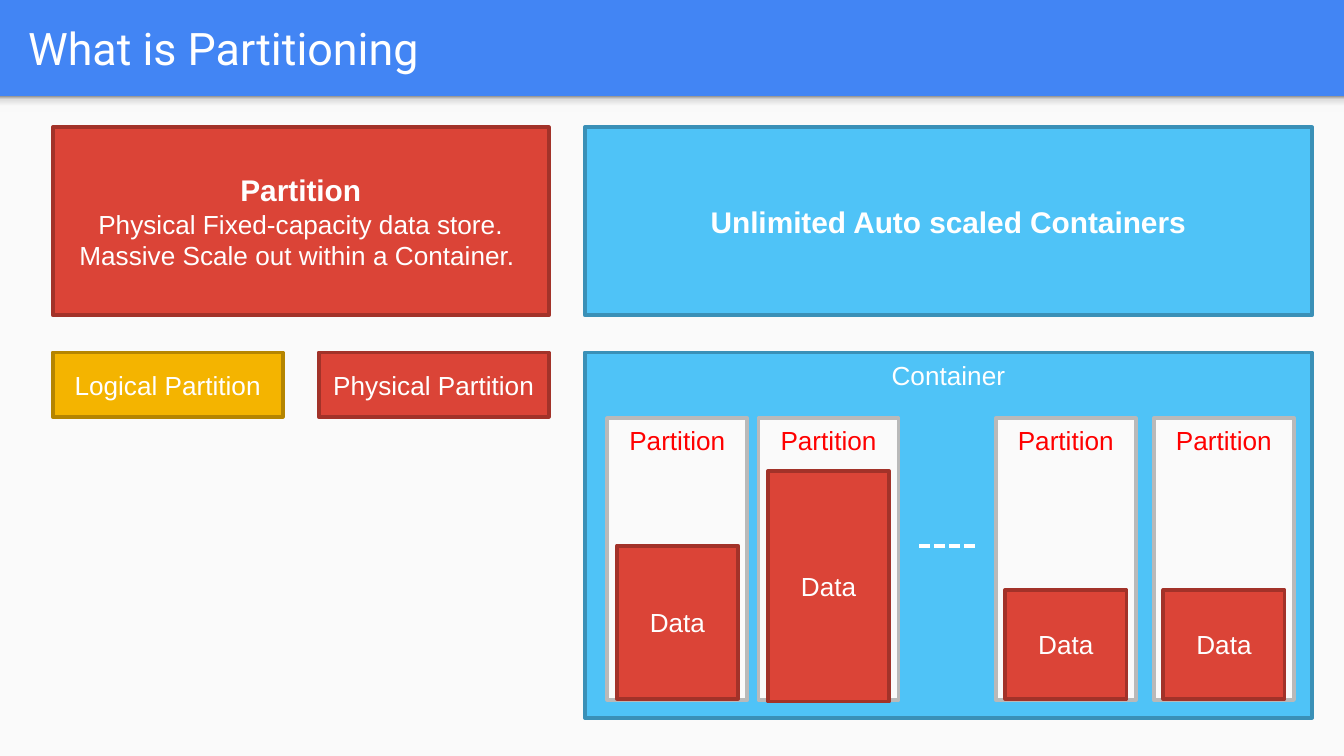
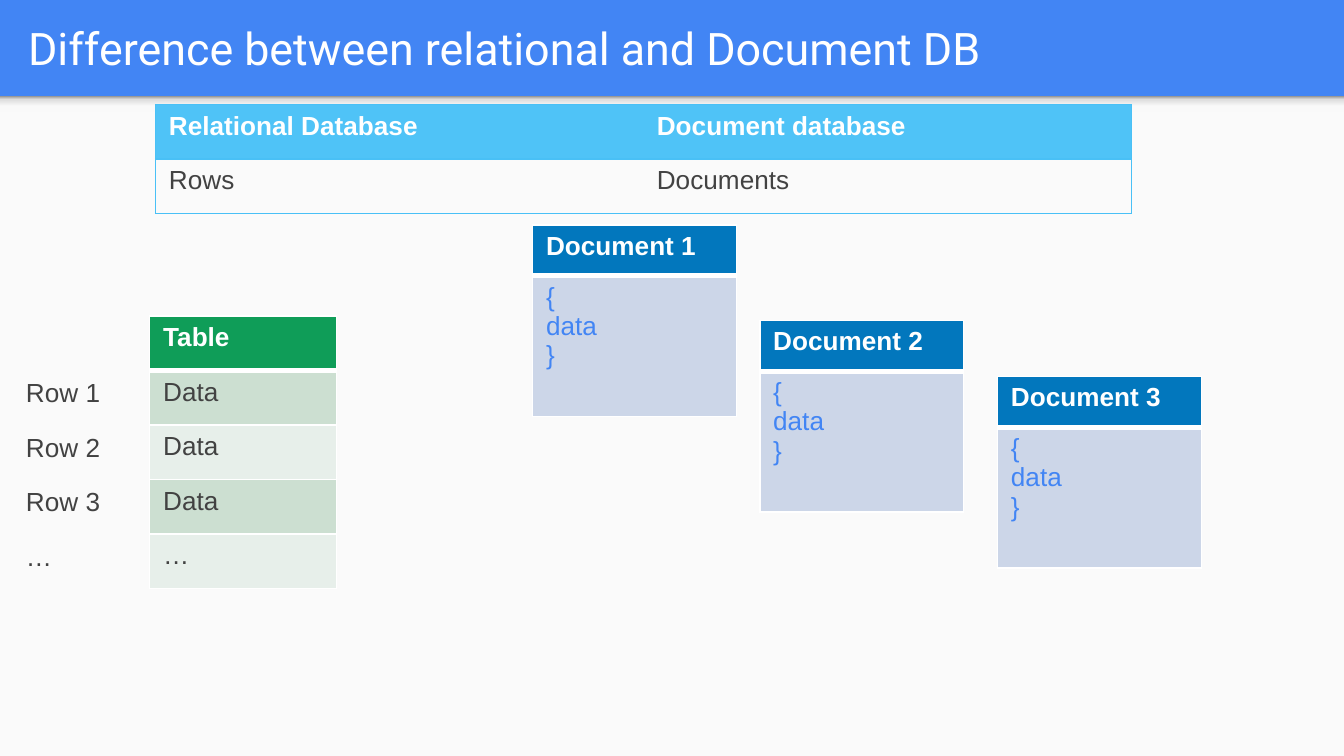
from dataclasses import dataclass

from lxml import etree
from pptx import Presentation
from pptx.dml.color import RGBColor
from pptx.enum.dml import MSO_LINE
from pptx.enum.shapes import MSO_CONNECTOR, MSO_SHAPE
from pptx.enum.text import MSO_ANCHOR, PP_ALIGN
from pptx.oxml.ns import qn
from pptx.presentation import Presentation as Deck
from pptx.shapes.autoshape import Shape
from pptx.slide import Slide
from pptx.table import _Cell
from pptx.text.text import TextFrame
from pptx.util import Pt

RECTANGLE = MSO_SHAPE.RECTANGLE
STRAIGHT = MSO_CONNECTOR.STRAIGHT
SQUARE_DASH = MSO_LINE.SQUARE_DOT
TOP = MSO_ANCHOR.TOP
MIDDLE = MSO_ANCHOR.MIDDLE
LEFT = PP_ALIGN.LEFT
CENTER = PP_ALIGN.CENTER

BLUE = "4285F4"
PAPER = "FAFAFA"
WHITE = "FFFFFF"
GREY_TEXT = "424242"
LABEL_RED = "FF0000"
SKY_FILL = "4FC3F7"
RED = ("DB4437", "A23229")
SKY = (SKY_FILL, "3A90B7")
AMBER = ("F4B400", "B58500")
PLAIN = (PAPER, "B9B9B9")

SLIDE_WIDTH = 720
SLIDE_HEIGHT = 405
BAND_HEIGHT = 51.6
BAND_SHADOW_HEIGHT = 8.6
SHADOW_STOPS = ((0, "F9F9F9"), (36, "F9F9F9"), (80, "DEDEDE"), (100, "999999"))
NO_TABLE_STYLE = "{2D5ABB26-0587-4C30-8999-92F81FD0307C}"


@dataclass(frozen=True)
class Box:
    left: float
    top: float
    width: float
    height: float
    palette: tuple[str, str]
    text: str = ""
    heading: str = ""
    color: str = WHITE
    anchor: MSO_ANCHOR = MIDDLE


@dataclass(frozen=True)
class Grid:
    left: float
    top: float
    column_width: float
    row_heights: tuple[float, ...]
    rows: tuple[tuple[str, ...], ...]
    header_fill: str | None = None
    body_fills: tuple[str | None, ...] = (None,)
    body_color: str = GREY_TEXT
    border_color: str | None = None
    border_width: float = 1
    header_border_width: float = 3


def rgb(color: str) -> RGBColor:
    return RGBColor.from_string(color)


def add_text(frame: TextFrame, text: str, *, size: float = 14, font: str = "Arial",
             color: str = WHITE, bold: bool = False, align: PP_ALIGN = LEFT) -> None:
    for line in text.split("\n"):
        paragraph = frame.paragraphs[0]
        if paragraph.runs:
            paragraph = frame.add_paragraph()
        paragraph.alignment = align
        run = paragraph.add_run()
        run.text = line
        run.font.size = Pt(size)
        run.font.name = font
        run.font.bold = bold
        run.font.color.rgb = rgb(color)


def add_rectangle(slide: Slide, left: float, top: float, width: float, height: float,
                  fill: str, line: str | None = None) -> Shape:
    shape = slide.shapes.add_shape(RECTANGLE, Pt(left), Pt(top), Pt(width), Pt(height))
    shape.shadow.inherit = False
    shape.fill.solid()
    shape.fill.fore_color.rgb = rgb(fill)
    if line:
        shape.line.color.rgb = rgb(line)
        shape.line.width = Pt(2)
    else:
        shape.line.fill.background()
    return shape


def add_box(slide: Slide, box: Box) -> None:
    fill, line = box.palette
    shape = add_rectangle(slide, box.left, box.top, box.width, box.height, fill, line)
    frame = shape.text_frame
    frame.word_wrap = True
    frame.vertical_anchor = box.anchor
    if box.heading:
        add_text(frame, box.heading, size=16, color=box.color, bold=True, align=CENTER)
    if box.text:
        add_text(frame, box.text, color=box.color, align=CENTER)


def add_dashes(slide: Slide, left: float, right: float, height: float) -> None:
    connector = slide.shapes.add_connector(
        STRAIGHT, Pt(left), Pt(height), Pt(right), Pt(height))
    connector.line.color.rgb = rgb(WHITE)
    connector.line.width = Pt(2)
    connector.line.dash_style = SQUARE_DASH
    etree.SubElement(connector._element.spPr, qn("a:effectLst"))


def add_border(cell: _Cell, edge: str, color: str, width: float) -> None:
    properties = cell._tc.get_or_add_tcPr()
    line = etree.SubElement(properties, qn(f"a:ln{edge}"), w=str(Pt(width)))
    fill = etree.SubElement(line, qn("a:solidFill"))
    etree.SubElement(fill, qn("a:srgbClr"), val=color)


def add_grid(slide: Slide, grid: Grid) -> None:
    column_count = len(grid.rows[0])
    table = slide.shapes.add_table(
        len(grid.rows), column_count, Pt(grid.left), Pt(grid.top),
        Pt(grid.column_width * column_count), Pt(sum(grid.row_heights))).table
    table._tbl.tblPr.find(qn("a:tableStyleId")).text = NO_TABLE_STYLE
    table.horz_banding = False
    table.first_row = grid.header_fill is not None
    for column in table.columns:
        column.width = Pt(grid.column_width)
    for row_index, (height, texts) in enumerate(zip(grid.row_heights, grid.rows)):
        table.rows[row_index].height = Pt(height)
        is_header = table.first_row and row_index == 0
        body_index = row_index - int(table.first_row)
        fill = grid.header_fill if is_header else grid.body_fills[body_index % len(grid.body_fills)]
        for column_index, text in enumerate(texts):
            cell = table.cell(row_index, column_index)
            if grid.border_color:
                widths = {
                    "L": grid.border_width if column_index == 0 else 0,
                    "R": grid.border_width if column_index == column_count - 1 else 0,
                    "T": grid.header_border_width if row_index == 1 else grid.border_width,
                    "B": grid.header_border_width if is_header else grid.border_width,
                }
                for edge, width in widths.items():
                    if width:
                        add_border(cell, edge, grid.border_color, width)
            if fill:
                cell.fill.solid()
                cell.fill.fore_color.rgb = rgb(fill)
            else:
                cell.fill.background()
            add_text(cell.text_frame, text, bold=is_header,
                     color=WHITE if is_header else grid.body_color)


def add_band_shadow(slide: Slide) -> None:
    shape = add_rectangle(slide, 0, BAND_HEIGHT, SLIDE_WIDTH, BAND_SHADOW_HEIGHT, PAPER)
    shape.fill.gradient()
    shape.fill.gradient_angle = 90
    stops = shape._element.spPr.find(qn("a:gradFill")).find(qn("a:gsLst"))
    for stop in list(stops):
        stops.remove(stop)
    for position, color in SHADOW_STOPS:
        stop = etree.SubElement(stops, qn("a:gs"), pos=str(position * 1000))
        etree.SubElement(stop, qn("a:srgbClr"), val=color)


def add_titled_slide(presentation: Deck, title: str) -> Slide:
    slide = presentation.slides.add_slide(presentation.slide_layouts[6])
    add_rectangle(slide, 0, BAND_HEIGHT, SLIDE_WIDTH, SLIDE_HEIGHT - BAND_HEIGHT, PAPER)
    add_band_shadow(slide)
    frame = slide.shapes.add_textbox(Pt(8), Pt(1.5), Pt(695), Pt(47.5)).text_frame
    frame.word_wrap = True
    frame.vertical_anchor = MIDDLE
    add_text(frame, title, size=24, font="Roboto")
    return slide


def build_partitioning(presentation: Deck) -> None:
    slide = add_titled_slide(presentation, "What is Partitioning")
    left, right = 28.3, 313.3
    upper, lower = 68.2, 188.8
    wide, narrow, container_width = 265.7, 123.2, 389.6
    boxes = [
        Box(right, upper, container_width, 100.8, SKY,
            heading="Unlimited Auto scaled Containers"),
        Box(left, upper, wide, 100.8, RED, heading="Partition",
            text="Physical Fixed-capacity data store.\n"
                 "Massive Scale out within a Container. "),
        Box(left, lower, narrow, 34.6, AMBER, "Logical Partition"),
        Box(left + wide - narrow, lower, narrow, 34.6, RED, "Physical Partition"),
        Box(right, lower, container_width, 195.8, SKY, "Container", anchor=TOP),
    ]
    partition_top, partition_width, partition_height = 224, 75, 151
    data_width = 65
    data_inset = (partition_width - data_width) / 2
    partitions = ((325.4, 292.3, 82), (406.4, 252.4, 123.4),
                  (533.5, 316.1, 58.3), (618.2, 316.1, 58.3))
    boxes += [Box(partition_left, partition_top, partition_width, partition_height,
                  PLAIN, "Partition", color=LABEL_RED, anchor=TOP)
              for partition_left, _, _ in partitions]
    boxes += [Box(partition_left + data_inset, data_top, data_width, data_height, RED, "Data")
              for partition_left, data_top, data_height in partitions]
    for box in boxes:
        add_box(slide, box)
    add_dashes(slide, 492.4, 524.2, 292.4)


def build_difference(presentation: Deck) -> None:
    slide = add_titled_slide(presentation, "Difference between relational and Document DB")
    row_height = 29.2
    table_top = 169.3
    grids = [
        Grid(83.3, 56, 261.4, (row_height,) * 2,
             (("Relational Database", "Document database"), ("Rows", "Documents")),
             header_fill=SKY_FILL, border_color="49C0F6",
             border_width=0.75, header_border_width=0.75),
        Grid(80.2, table_top, 100.2, (row_height,) * 5,
             (("Table",), ("Data",), ("Data",), ("Data",), ("…",)),
             header_fill="0F9D58", body_fills=("CCDFD1", "E7EFEA"), border_color=WHITE),
        Grid(6.7, table_top + row_height + 1, 73.5, (row_height,) * 4,
             (("Row 1",), ("Row 2",), ("Row 3",), ("…",))),
    ]
    document_corners = ((285.3, 120.5), (407, 171.6), (534.4, 201.6))
    for number, (left, top) in enumerate(document_corners, start=1):
        grids.append(Grid(left, top, 109.2, (27.2, 75.4),
                          ((f"Document {number}",), ("{\ndata\n}",)),
                          header_fill="0277BD", body_fills=("CCD6E8",),
                          body_color=BLUE, border_color=WHITE))
    for grid in grids:
        add_grid(slide, grid)


def main() -> None:
    presentation = Presentation()
    presentation.slide_width = Pt(SLIDE_WIDTH)
    presentation.slide_height = Pt(SLIDE_HEIGHT)
    background = presentation.slide_master.background.fill
    background.solid()
    background.fore_color.rgb = rgb(BLUE)
    build_partitioning(presentation)
    build_difference(presentation)
    presentation.save("out.pptx")


if __name__ == "__main__":
    main()
